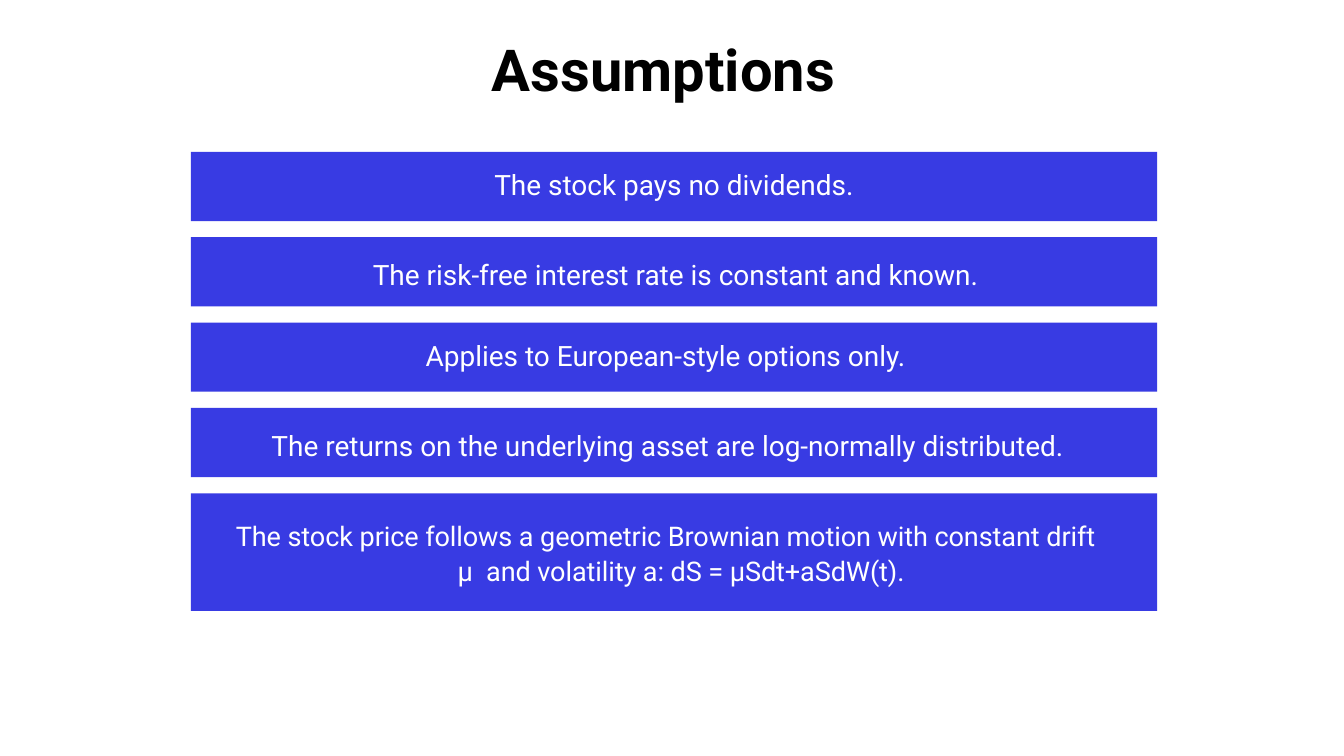
"""Build the slide listing the assumptions of the option pricing model."""
from pptx import Presentation
from pptx.dml.color import RGBColor
from pptx.enum.shapes import MSO_SHAPE
from pptx.enum.text import MSO_ANCHOR, PP_ALIGN
from pptx.util import Inches, Pt

RECT = MSO_SHAPE.RECTANGLE
TOP = MSO_ANCHOR.TOP
LEFT, CENTER = PP_ALIGN.LEFT, PP_ALIGN.CENTER

TITLE = "Assumptions"
ASSUMPTIONS = [
    dict(text="The stock pays no dividends.", inset=0.24),
    dict(text="The risk-free interest rate is constant and known.", inset=0.31, indent=0.05),
    dict(text="Applies to European-style options only.", inset=0.24, right=0.25),
    dict(text="The returns on the underlying asset are log-normally distributed.",
         inset=0.3, align=LEFT, indent=1.2),
    dict(text="The stock price follows a geometric Brownian motion with constant drift "
              "µ  and volatility a: dS = µSdt+aSdW(t).",
         inset=0.35, align=LEFT, indent=3.97, first=-3.3, right=0.75,
         height=1.75, size=29, line=1.08, spacing=-10),
]
THEME = dict(font="Roboto", title=RGBColor(0, 0, 0), bar=RGBColor(0x38, 0x3B, 0xE3),
             text=RGBColor(0xFF, 0xFF, 0xFF), title_size=62, text_size=30)
BAR_LEFT, BAR_TOP, BAR_WIDTH, BAR_HEIGHT, GAP = 2.84, 2.26, 14.38, 1.03, 0.24


def write(shape, text, size, color, align, inset, right=0, bold=False):
    tf = shape.text_frame
    tf.word_wrap = True
    tf.vertical_anchor = TOP
    tf.margin_left = tf.margin_bottom = 0
    tf.margin_top, tf.margin_right = Inches(inset), Inches(right)
    p = tf.paragraphs[0]
    p.text = text
    p.alignment = align
    p.space_before = Pt(0)
    p.line_spacing = 1.0
    f = p.font
    f.name, f.size, f.bold, f.color.rgb = THEME["font"], Pt(size), bold, color
    return p


def add_bar(s, top, height, text, inset, align=CENTER, indent=0, first=0, right=0,
            size=THEME["text_size"], line=1.0, spacing=0):
    sp = s.shapes.add_shape(RECT, Inches(BAR_LEFT), Inches(top),
                            Inches(BAR_WIDTH), Inches(height))
    sp.shadow.inherit = False
    sp.fill.solid()
    sp.fill.fore_color.rgb = THEME["bar"]
    sp.line.fill.background()
    p = write(sp, text, size, THEME["text"], align, inset, right)
    p.line_spacing = line
    pPr = p._p.get_or_add_pPr()
    pPr.set("marL", str(Inches(indent)))
    pPr.set("indent", str(Inches(first)))
    p.runs[0]._r.get_or_add_rPr().set("spc", str(spacing))


def main():
    prs = Presentation()
    prs.slide_width, prs.slide_height = Inches(20), Inches(11.25)
    s = prs.slides.add_slide(prs.slide_layouts[5])
    title = s.shapes.title
    title.left, title.top = Inches(7.32), Inches(0.49)
    title.width, title.height = Inches(5.48), Inches(1.06)
    write(title, TITLE, THEME["title_size"], THEME["title"], LEFT, 0.01, bold=True)

    top = BAR_TOP
    for item in ASSUMPTIONS:
        bar = {"height": BAR_HEIGHT, **item}
        add_bar(s, top, **bar)
        top += bar["height"] + GAP
    prs.save("out.pptx")


if __name__ == "__main__":
    main()
